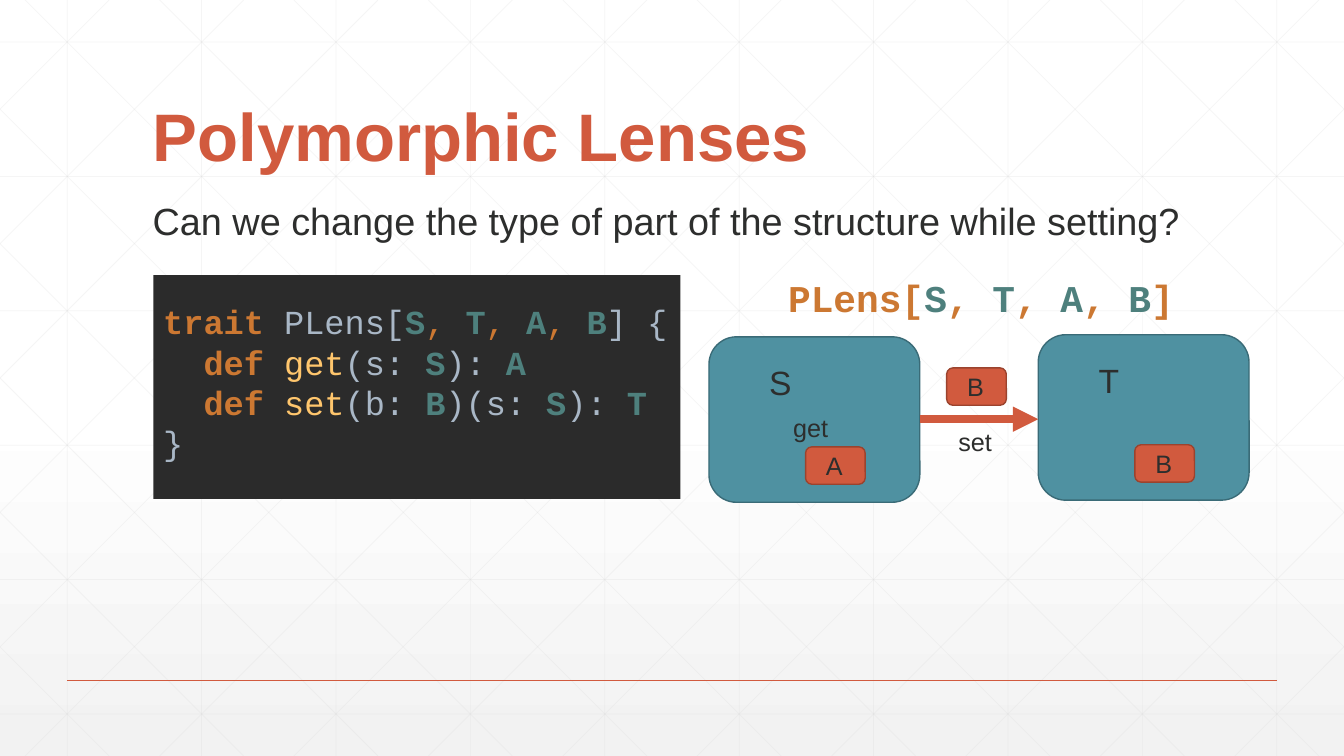
from lxml.etree import SubElement
from pptx import Presentation
from pptx.dml.color import RGBColor
from pptx.enum.shapes import MSO_CONNECTOR, MSO_SHAPE
from pptx.enum.text import MSO_ANCHOR, PP_ALIGN
from pptx.oxml.ns import qn
from pptx.util import Inches, Pt

WHITE = RGBColor(0xFF, 0xFF, 0xFF)
MIST = RGBColor(0xF2, 0xF2, 0xF2)
MESH = RGBColor(0xD9, 0xD9, 0xD9)
RUST = RGBColor(0xD1, 0x5A, 0x3E)
RUST_EDGE = RGBColor(0x9B, 0x43, 0x2E)
TEAL = RGBColor(0x4F, 0x91, 0xA1)
TEAL_EDGE = RGBColor(0x3A, 0x6B, 0x77)
INK = RGBColor(0x2D, 0x2E, 0x2D)
EDITOR = RGBColor(0x2B, 0x2B, 0x2B)
KEYWORD = RGBColor(0xCC, 0x78, 0x32)
TYPE = RGBColor(0x4E, 0x80, 0x7D)
PLAIN = RGBColor(0xA9, 0xB7, 0xC6)
METHOD = RGBColor(0xFF, 0xC6, 0x6D)

COLUMNS, ROWS = 160, 90
CELL = Inches(1 / 12)
MESH_STEP = 16

deck = Presentation()
deck.slide_width = CELL * COLUMNS
deck.slide_height = CELL * ROWS
page = deck.slides.add_slide(deck.slide_layouts[6])


def draw_line(start, end, color=MESH, weight=0.5, opacity=None, arrow=False):
    ends = [round(CELL * place) for place in (*start, *end)]
    line = page.shapes.add_connector(MSO_CONNECTOR.STRAIGHT, *ends)
    line.line.color.rgb = color
    line.line.width = Pt(weight)
    properties = line._element.spPr
    if opacity:
        SubElement(next(properties.iter(qn("a:srgbClr"))), qn("a:alpha"), val=str(opacity * 1000))
    if arrow:
        SubElement(properties.find(qn("a:ln")), qn("a:tailEnd"), type="triangle")
    SubElement(properties, qn("a:effectLst"))


def write(box, lines, size=18, font="Arial", color=INK, bold=False, anchor=MSO_ANCHOR.TOP,
          wrap=True, spacing=1.0, indents=()):
    frame = box.text_frame
    frame.word_wrap = wrap
    frame.vertical_anchor = anchor
    for number, spans in enumerate(lines):
        para = frame.paragraphs[0] if number == 0 else frame.add_paragraph()
        para.alignment = PP_ALIGN.LEFT
        para.line_spacing = spacing
        if number in indents:
            para._p.get_or_add_pPr().set("marL", str(Inches(0.4)))
        for words, span_color, span_bold in [(spans, color, bold)] if isinstance(spans, str) else spans:
            span = para.add_run()
            span.text = words
            span.font.name = font
            span.font.size = Pt(size)
            span.font.bold = span_bold
            span.font.color.rgb = span_color


backdrop = page.background.fill
backdrop.gradient()
backdrop.gradient_angle = 270
for stop, position, color in zip(backdrop.gradient_stops, (0.53, 1), (WHITE, MIST)):
    stop.position = position
    stop.color.rgb = color

mesh = [((x, 0), (x, ROWS)) for x in range(8, COLUMNS, MESH_STEP)]
mesh += [((0, y), (COLUMNS, y)) for y in range(5, ROWS, MESH_STEP)]
for x in range(3 - 5 * MESH_STEP, COLUMNS, MESH_STEP):
    first, last = max(x, 0), min(x + ROWS, COLUMNS)
    mesh.append(((first, first - x), (last, last - x)))
    mesh.append(((COLUMNS - first, first - x), (COLUMNS - last, last - x)))
for start, end in mesh:
    draw_line(start, end, opacity=25)
draw_line((8, 81), (152, 81), color=RUST, weight=1)

code_types, heading_types = [], []
for letter in "STAB":
    if code_types:
        code_types.append((", ", KEYWORD, False))
        heading_types.append((", ", KEYWORD, True))
    code_types.append((letter, TYPE, True))
    heading_types.append((letter, TYPE, True))
heading = [("PLens[", KEYWORD, True), *heading_types, ("]", KEYWORD, True)]
code = [
    [("trait ", KEYWORD, True), ("PLens[", PLAIN, False), *code_types, ("] {", PLAIN, False)],
    [("def ", KEYWORD, True), ("get", METHOD, False), ("(s: ", PLAIN, False),
     ("S", TYPE, True), ("): ", PLAIN, False), ("A", TYPE, True)],
    [("def ", KEYWORD, True), ("set", METHOD, False), ("(b: ", PLAIN, False),
     ("B", TYPE, True), (")(s: ", PLAIN, False), ("S", TYPE, True),
     ("): ", PLAIN, False), ("T", TYPE, True)],
    [("}", PLAIN, False)],
]

structures = [("S", "A", 84.4, 40.1), ("T", "B", 123.6, 39.85)]
tags = [(part, left + 11.5, top + 13.1) for whole, part, left, top in structures]
tags.append(("B", 112.7, 43.8))

panels = [(MSO_SHAPE.RECTANGLE, (18.25, 32.75, 62.75, 26.65), EDITOR, None)]
panels += [(MSO_SHAPE.ROUNDED_RECTANGLE, (left, top, 25.1, 19.7), TEAL, TEAL_EDGE)
           for whole, part, left, top in structures]
panels += [(MSO_SHAPE.ROUNDED_RECTANGLE, (left, top, 7.1, 4.45), RUST, RUST_EDGE)
           for part, left, top in tags]
drawn = []
for kind, area, fill, edge in panels:
    panel = page.shapes.add_shape(kind, *[round(CELL * length) for length in area])
    panel.shadow.inherit = False
    panel.fill.solid()
    panel.fill.fore_color.rgb = fill
    if edge:
        panel.line.color.rgb = edge
        panel.line.width = Pt(1)
    else:
        panel.line.fill.background()
    drawn.append(panel)

code_panel = drawn[0]
code_panel.text_frame.margin_bottom = Inches(0.15)
write(code_panel, code, size=24, font="Courier New", anchor=MSO_ANCHOR.MIDDLE, indents=(1, 2))
draw_line((109.5, 49.9), (123.6, 49.9), color=RUST, weight=6, arrow=True)

labels = [
    ("Polymorphic Lenses", (17, 6.6, 126, 15),
     dict(size=48, color=RUST, bold=True, anchor=MSO_ANCHOR.BOTTOM, spacing=0.9)),
    ("Can we change the type of part of the structure while setting?",
     (17, 23, 127.5, 6.7), dict(size=27)),
    (heading, (92.65, 32.15, 49, 6.75), dict(size=27, font="Courier New", wrap=False)),
    ("get", (93.25, 48.5, 12.4, 4.8), {}),
    ("set", (112.9, 50.15, 7.1, 4.8), {}),
]
labels += [(whole, (left + 6, top + 2.4, 5.5, 6), dict(size=24))
           for whole, part, left, top in structures]
labels += [(part, (left + 1.25, top - 0.2, 4.55, 4.8), {}) for part, left, top in tags]
for words, area, style in labels:
    box = page.shapes.add_textbox(*[round(CELL * length) for length in area])
    write(box, [words], **style)

deck.save("out.pptx")
